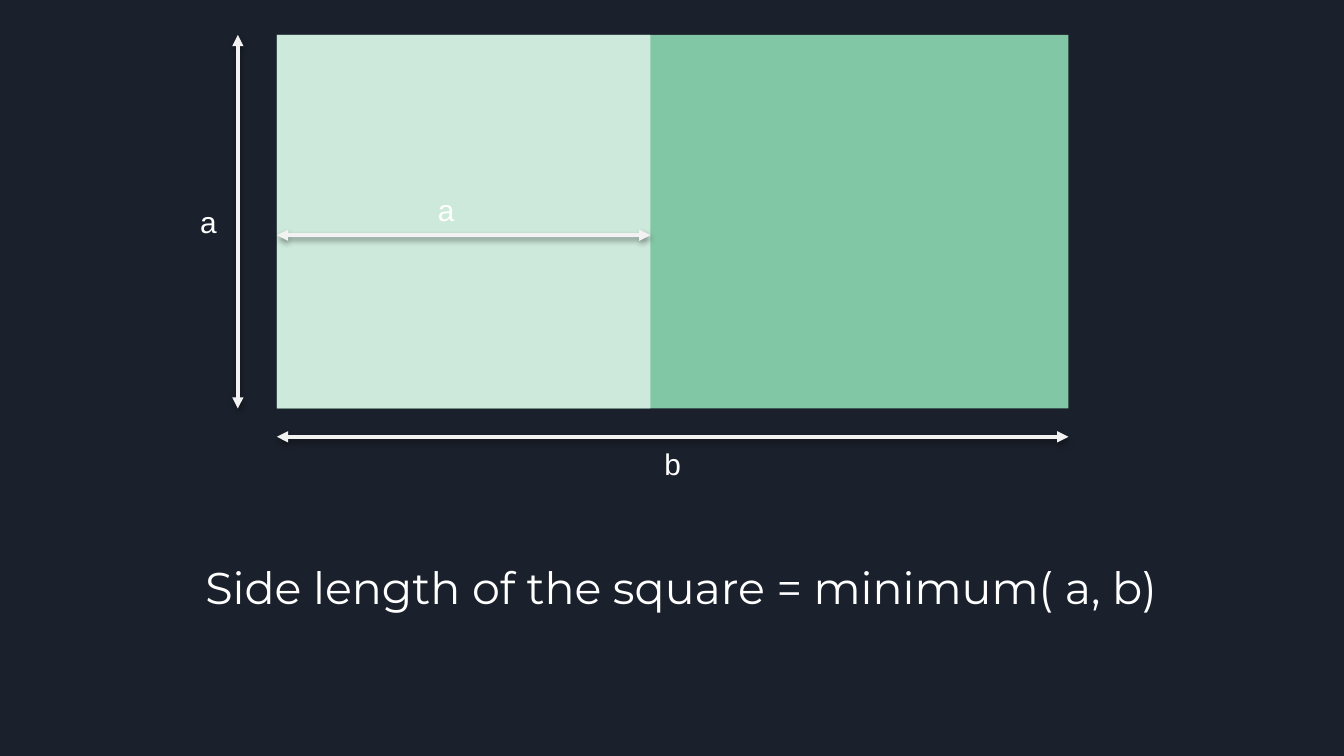
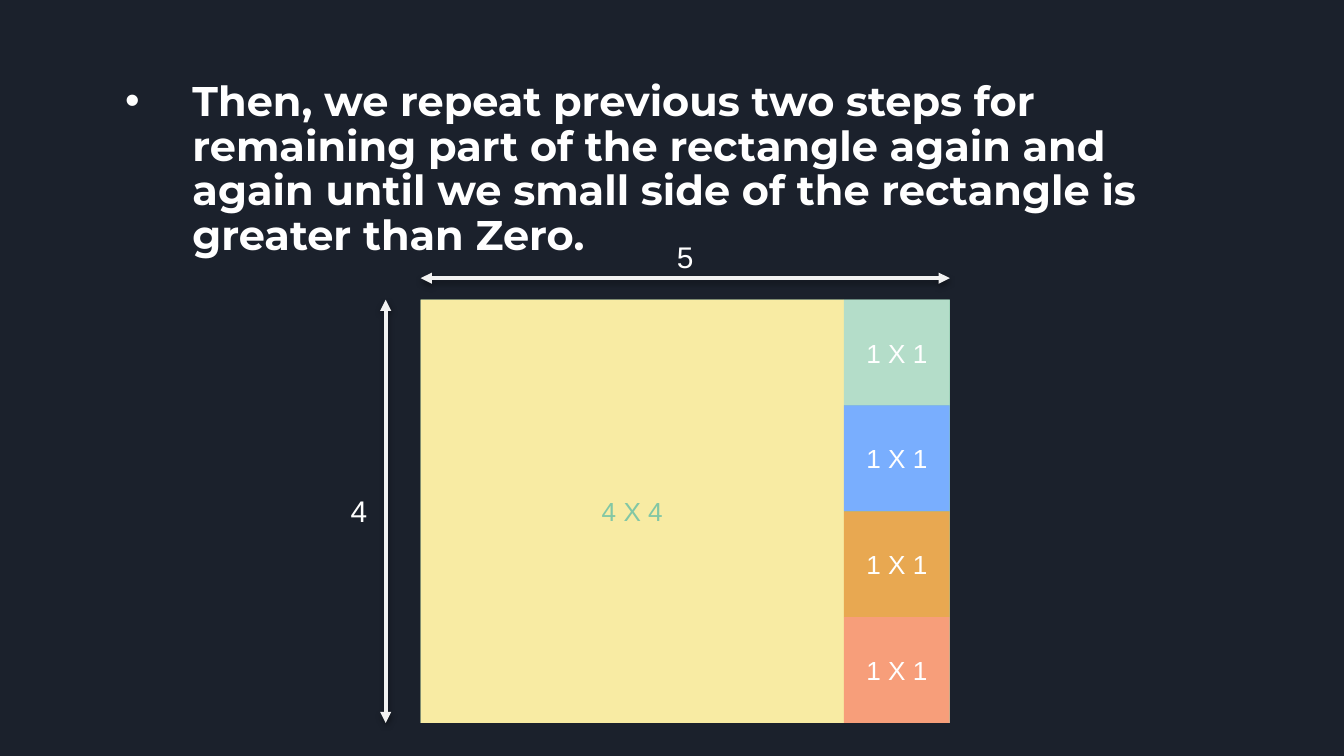
from lxml import etree
from pptx import Presentation
from pptx.dml.color import RGBColor
from pptx.enum.shapes import MSO_CONNECTOR, MSO_SHAPE
from pptx.enum.text import MSO_ANCHOR, PP_ALIGN
from pptx.oxml import parse_xml
from pptx.oxml.ns import nsdecls, qn
from pptx.util import Inches, Pt

RECT, LINE = MSO_SHAPE.RECTANGLE, MSO_CONNECTOR.STRAIGHT
LEFT, CENTER = PP_ALIGN.LEFT, PP_ALIGN.CENTER
TOP, MIDDLE = MSO_ANCHOR.TOP, MSO_ANCHOR.MIDDLE
BLANK = 6

W = 10
H = W * 9 / 16
LABEL_W, LABEL_H = 0.33, 0.37
COLORS = {
    "night": "1B212C", "white": "FFFFFF", "arrow": "F2F2F2",
    "green": "82C7A5", "pale": "CDE9DB", "yellow": "F8EBA3",
    "mint": "B4DDC9", "blue": "79AEFE", "orange": "E8A851", "coral": "F79E7A",
}

FORMULA = "Side length of the square = minimum( a, b)"
SIDE_A, SIDE_B = 2.78, 5.89
RECTANGLE = (2.06, 0.26)

REPEAT_STEP = ("Then, we repeat previous two steps for remaining part of the "
               "rectangle again and again until we small side of the rectangle "
               "is greater than Zero.")
COLS, ROWS = 5, 4
GRID, UNIT = (3.13, 2.23), 3.15 / ROWS
TILES = [("4 X 4", 0, 0, 4, "yellow", "green")] + [
    ("1 X 1", 4, row, 1, fill, "white")
    for row, fill in enumerate(["mint", "blue", "orange", "coral"])
]

SHADOW = (f'<a:effectLst {nsdecls("a")}>'
          f'<a:outerShdw blurRad="{Pt(3.1)}" dist="{Pt(1.6)}" dir="5400000" '
          'rotWithShape="0"><a:srgbClr val="000000"><a:alpha val="38000"/>'
          '</a:srgbClr></a:outerShdw></a:effectLst>')


def rgb(name):
    return RGBColor.from_string(COLORS[name])


def write(tf, text, size=16, font="Arial", color="white", bold=False,
          align=CENTER, anchor=TOP, spacing=None, wrap=True):
    tf.word_wrap, tf.vertical_anchor = wrap, anchor
    p = tf.paragraphs[0]
    p.alignment, p.line_spacing = align, spacing
    r = p.add_run()
    r.text = text
    r.font.size, r.font.name, r.font.bold = Pt(size), font, bold
    r.font.color.rgb = rgb(color)


def add_text(s, text, x, y, w, h, **fmt):
    tf = s.shapes.add_textbox(*map(Inches, (x, y, w, h))).text_frame
    write(tf, text, **fmt)
    return tf


def add_label(s, text, cx, y):
    add_text(s, text, cx - LABEL_W / 2, y, LABEL_W, LABEL_H, wrap=False)


def add_rect(s, x, y, w, h, fill, text=None, **fmt):
    sp = s.shapes.add_shape(RECT, *map(Inches, (x, y, w, h)))
    sp.shadow.inherit = False
    sp.fill.solid()
    sp.fill.fore_color.rgb = rgb(fill)
    sp.line.fill.background()
    if text:
        write(sp.text_frame, text, size=14, anchor=MIDDLE, **fmt)


def add_arrow(s, x1, y1, x2, y2):
    cn = s.shapes.add_connector(LINE, *map(Inches, (x1, y1, x2, y2)))
    cn.line.color.rgb = rgb("arrow")
    cn.line.width = Pt(2)
    ln = cn._element.spPr.find(qn("a:ln"))
    for end in ("a:headEnd", "a:tailEnd"):
        etree.SubElement(ln, qn(end), type="triangle")
    cn._element.spPr.append(parse_xml(SHADOW))


def add_bullet(p, indent):
    pPr = p._p.get_or_add_pPr()
    pPr.set("marL", str(Inches(indent)))
    pPr.set("indent", str(-Inches(indent)))
    color = etree.SubElement(pPr, qn("a:buClr"))
    etree.SubElement(color, qn("a:srgbClr"), val=COLORS["white"])
    etree.SubElement(pPr, qn("a:buFont"), typeface="Arial")
    etree.SubElement(pPr, qn("a:buChar"), char="•")


def build_square(prs):
    s = prs.slides.add_slide(prs.slide_layouts[BLANK])
    x, y = RECTANGLE
    mid = y + SIDE_A / 2
    add_rect(s, x, y, SIDE_B, SIDE_A, "green")
    add_arrow(s, x, y + SIDE_A + 0.21, x + SIDE_B, y + SIDE_A + 0.21)
    add_arrow(s, x - 0.29, y, x - 0.29, y + SIDE_A)
    add_label(s, "b", x + SIDE_B / 2, y + SIDE_A + 0.23)
    add_label(s, "a", x - 0.51, mid - LABEL_H / 2)
    add_rect(s, x, y, SIDE_A, SIDE_A, "pale")
    add_arrow(s, x, mid + 0.1, x + SIDE_A, mid + 0.1)
    add_label(s, "a", x + SIDE_A / 2 - 0.13, mid - 0.27)
    add_text(s, FORMULA, 1.43, 4.16, 7.7, 0.68, size=23.8, font="Montserrat",
             align=LEFT, spacing=0.9)


def build_tiling(prs):
    s = prs.slides.add_slide(prs.slide_layouts[BLANK])
    tf = add_text(s, REPEAT_STEP, W / 12, 0.5, W * 10 / 12, 1.23, size=22.2,
                  font="Montserrat", bold=True, align=LEFT, spacing=0.9)
    tf.margin_top = tf.margin_bottom = Inches(0.1)
    add_bullet(tf.paragraphs[0], 0.5)
    x, y = GRID
    w, h = COLS * UNIT, ROWS * UNIT
    add_rect(s, x, y, w, h, "green")
    add_arrow(s, x, y - 0.16, x + w, y - 0.16)
    add_arrow(s, x - 0.26, y, x - 0.26, y + h)
    add_label(s, str(ROWS), x - 0.46, y + h / 2 - LABEL_H / 2)
    add_label(s, str(COLS), x + w / 2, y - 0.5)
    for text, col, row, side, fill, color in TILES:
        add_rect(s, x + col * UNIT, y + row * UNIT, side * UNIT, side * UNIT,
                 fill, text, color=color)


def main():
    prs = Presentation()
    prs.slide_width, prs.slide_height = Inches(W), Inches(H)
    bg = prs.slide_master.background.fill
    bg.solid()
    bg.fore_color.rgb = rgb("night")
    build_square(prs)
    build_tiling(prs)
    prs.save("out.pptx")


if __name__ == "__main__":
    main()
